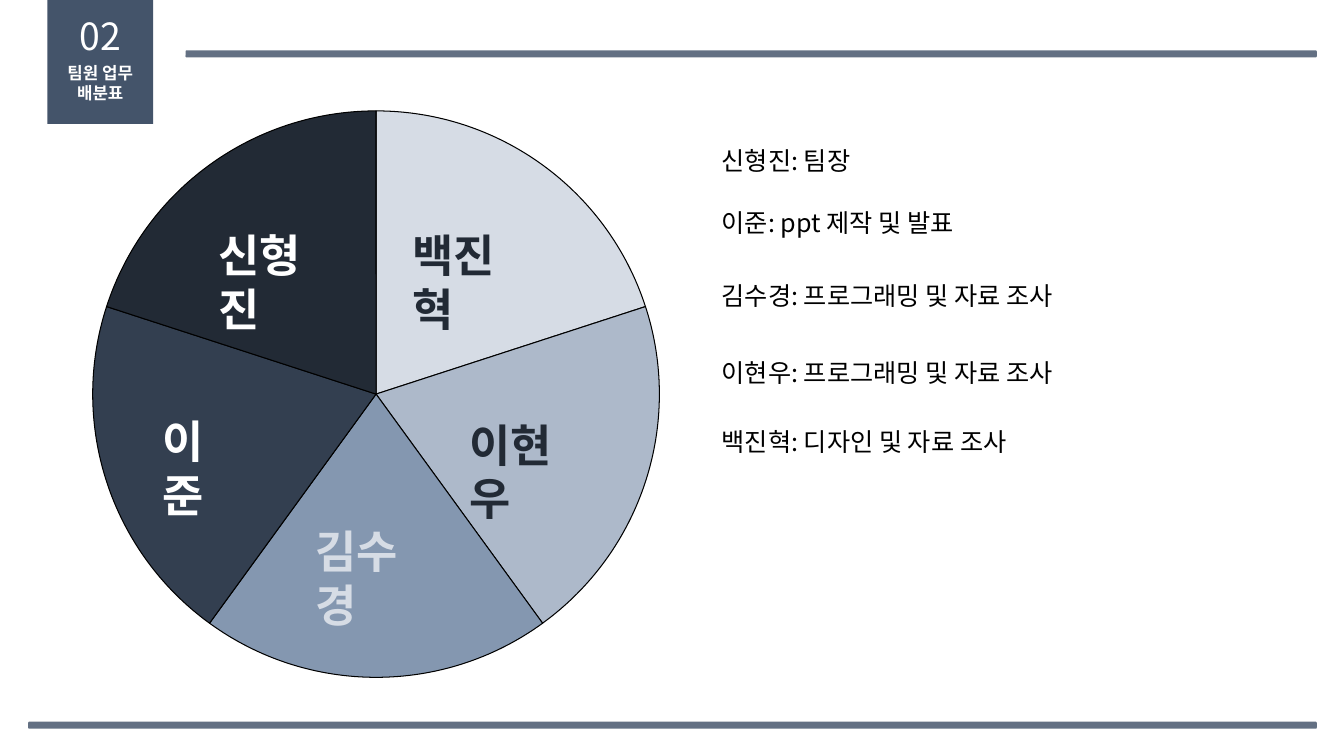
from math import cos, pi, sin, tan

from lxml.etree import SubElement
from pptx import Presentation
from pptx.dml.color import RGBColor
from pptx.enum.shapes import MSO_SHAPE
from pptx.enum.text import MSO_ANCHOR, MSO_AUTO_SIZE, PP_ALIGN
from pptx.oxml.ns import qn
from pptx.util import Inches, Pt

FONT = "Noto Sans CJK KR"
WHITE = RGBColor(0xFF, 0xFF, 0xFF)
BLACK = RGBColor(0x00, 0x00, 0x00)
SLATE = RGBColor(0x44, 0x54, 0x6A)
NAVY = RGBColor(0x22, 0x2A, 0x35)
DEEP = RGBColor(0x33, 0x3F, 0x50)
STEEL = RGBColor(0x84, 0x97, 0xB0)
MIST = RGBColor(0xAD, 0xB9, 0xCA)
PALE = RGBColor(0xD6, 0xDC, 0xE5)

# Clockwise from the top: name, slice colour, text colour,
# label offset from the pie's corner, label width
MEMBERS = [
    ("백진혁", PALE, NAVY, 3.07, 1.11, 1.39),
    ("이현우", MIST, NAVY, 3.64, 2.99, 1.39),
    ("김수경", STEEL, PALE, 2.11, 4.05, 1.39),
    ("이준", DEEP, WHITE, 0.59, 2.96, 0.99),
    ("신형진", NAVY, WHITE, 1.15, 1.11, 1.39),
]
# Duty, offset from the top of the list, width
DUTIES = [
    ("신형진: 팀장", 0, 1.49),
    ("이준: ppt 제작 및 발표", 0.62, 2.6),
    ("김수경: 프로그래밍 및 자료 조사", 1.34, 3.52),
    ("이현우: 프로그래밍 및 자료 조사", 2.11, 3.52),
    ("백진혁: 디자인 및 자료 조사", 2.79, 3.06),
]


def write(shape, text, size, color, bold=False, align=PP_ALIGN.LEFT):
    frame = shape.text_frame
    frame.text = text
    frame.word_wrap = True
    frame.auto_size = MSO_AUTO_SIZE.NONE
    frame.vertical_anchor = MSO_ANCHOR.TOP
    for paragraph in frame.paragraphs:
        paragraph.alignment = align
        for run in paragraph.runs:
            run.font.size = Pt(size)
            run.font.bold = bold
            run.font.name = FONT
            run.font.color.rgb = color
            # Hangul takes the East Asian font
            SubElement(run.font._element, qn("a:ea"), typeface=FONT)


def add_label(slide, left, top, width, height, *text_style, **options):
    label = slide.shapes.add_textbox(
        Inches(left), Inches(top), Inches(width), Inches(height))
    write(label, *text_style, **options)


def paint(shape, color):
    shape.shadow.inherit = False
    shape.fill.solid()
    shape.fill.fore_color.rgb = color


def add_rule(slide, left, top, width, height=0.07):
    rule = slide.shapes.add_shape(
        MSO_SHAPE.ROUNDED_RECTANGLE,
        Inches(left), Inches(top), Inches(width), Inches(height))
    paint(rule, SLATE)
    rule.line.fill.background()
    rgb = rule.element.spPr.find(qn("a:solidFill")).find(qn("a:srgbClr"))
    SubElement(rgb, qn("a:alpha"), val="83000")


def add_section_tab(slide, left, top, width, height):
    tab = slide.shapes.add_shape(
        MSO_SHAPE.RECTANGLE,
        Inches(left), Inches(top), Inches(width), Inches(height))
    paint(tab, SLATE)
    tab.line.fill.background()

    # Number and title are centred on the tab
    text_width = 1.89
    text_left = left + (width - text_width) / 2
    add_label(slide, text_left, top + 0.32, text_width, 0.55,
              "02", 26.7, WHITE, align=PP_ALIGN.CENTER)
    title = slide.shapes.title
    title.left, title.top = Inches(text_left), Inches(top + 0.81)
    title.width, title.height = Inches(text_width), Inches(0.5)
    write(title, "팀원 업무\n배분표", 12, WHITE, bold=True,
          align=PP_ALIGN.CENTER)
    # Bring the title in front of the tab
    title.element.getparent().append(title.element)


def add_slice(slide, center_x, center_y, radius, start, sweep):
    end = start + sweep
    # Length of the Bézier handles for an arc of this sweep
    handle = 4 / 3 * tan(sweep / 4)

    def point(angle, pull=0):
        x = center_x + radius * (sin(angle) + pull * cos(angle))
        y = center_y - radius * (cos(angle) - pull * sin(angle))
        return Inches(x), Inches(y)

    outline = slide.shapes.build_freeform(Inches(center_x), Inches(center_y))
    outline.add_line_segments(
        [point(start), point(start, handle), point(end, -handle), point(end)],
        close=True)
    wedge = outline.convert_to_shape()

    # Join the handles and the end point into one curve
    segments = list(wedge.element.spPr.iter(qn("a:lnTo")))[1:4]
    outer_edge = SubElement(segments[0].getparent(), qn("a:cubicBezTo"))
    segments[0].addprevious(outer_edge)
    for segment in segments:
        outer_edge.append(segment[0])
        segment.getparent().remove(segment)
    return wedge


def add_team_pie(slide, left, top, size):
    radius = size / 2
    sweep = 2 * pi / len(MEMBERS)
    for index, (name, fill, ink, dx, dy, width) in enumerate(MEMBERS):
        member_slice = add_slice(slide, left + radius, top + radius, radius,
                                 sweep * index, sweep)
        paint(member_slice, fill)
        member_slice.line.color.rgb = BLACK
        member_slice.line.width = Pt(0)
        add_label(slide, left + dx, top + dy, width, 0.64,
                  name, 32, ink, bold=True)


def add_duty_list(slide, left, top):
    for duty, offset, width in DUTIES:
        add_label(slide, left, top + offset, width, 0.4, duty, 18, BLACK)


def main():
    presentation = Presentation()
    presentation.slide_width = Inches(13.33)
    presentation.slide_height = Inches(7.5)
    slide = presentation.slides.add_slide(presentation.slide_layouts[5])

    add_rule(slide, 0.28, 7.16, 12.78)
    add_rule(slide, 1.84, 0.5, 11.22)
    add_section_tab(slide, 0.47, -0.24, 1.05, 1.47)
    add_team_pie(slide, 0.92, 1.1, 5.62)
    add_duty_list(slide, 7.06, 1.39)
    presentation.save("out.pptx")


if __name__ == "__main__":
    main()
